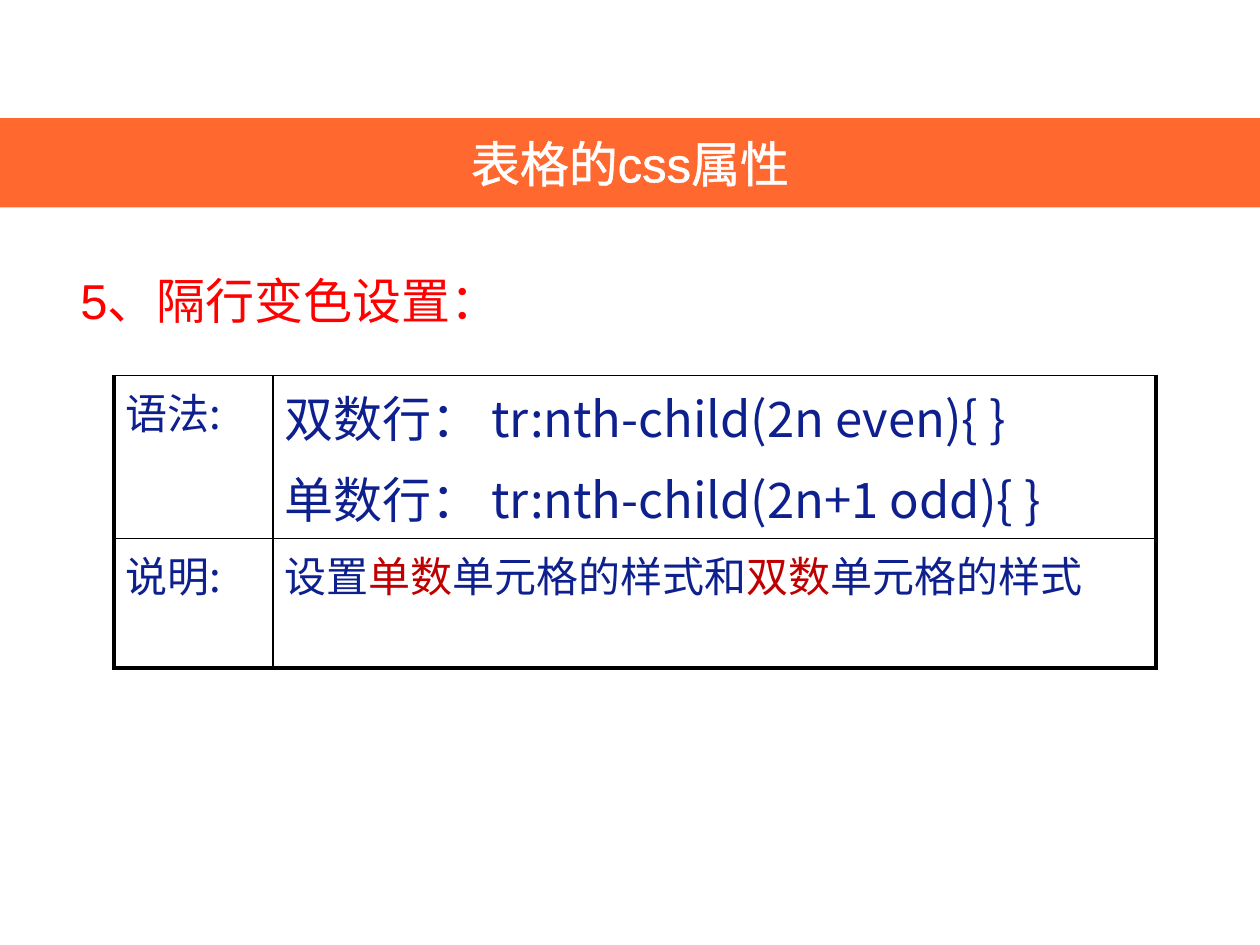
from pptx import Presentation
from pptx.dml.color import RGBColor as RGB
from pptx.enum.shapes import MSO_SHAPE as SHAPE
from pptx.enum.text import MSO_ANCHOR as ANCHOR, PP_ALIGN as ALIGN
from pptx.oxml.ns import qn
from pptx.util import Pt
from lxml.etree import Element, SubElement as Sub

HEX = {"band": "FF682F", "white": "FFFFFF", "head": "FF0000",
       "ink": "0E208E", "mark": "C00000", "rule": "000000"}
LATIN, CJK = "Arial", "Noto Sans CJK SC"

# Content: each cell is (size, paragraphs), each paragraph is (text, colour) runs
TITLE = "表格的css属性"
HEAD = "5、隔行变色设置："
ROWS = [
    [(24, [[("语法:", "ink")]]),
     (28, [[("双数行： tr:nth-child(2n even){ }", "ink")],
           [("单数行： tr:nth-child(2n+1 odd){ }", "ink")]])],
    [(24, [[("说明:", "ink")]]),
     (24, [[("设置", "ink"), ("单数", "mark"), ("单元格的样式和", "ink"),
            ("双数", "mark"), ("单元格的样式", "ink")]])],
]
WIDTHS, HEIGHTS = [90.7, 504.7], [87, 74.2]
THIN, THICK = 1, 2.25


def color(name):
    return RGB.from_string(HEX[name])


def style(para, size, name, ink):
    font = para.font
    font.size, font.name = Pt(size), name
    font.color.rgb = color(ink)


def stroke(parent, tag, width, ink):
    line = Element(qn(tag), w=str(Pt(width)))
    fill = Sub(line, qn("a:solidFill"))
    Sub(fill, qn("a:srgbClr"), val=HEX[ink])
    parent.append(line)
    return line


def fill_cell(cell, size, paras):
    frame = cell.text_frame
    cell.margin_left = cell.margin_right = Pt(6.8)
    cell.margin_top = cell.margin_bottom = Pt(3.2)
    for i, runs in enumerate(paras):
        para = frame.add_paragraph() if i else frame.paragraphs[0]
        # Space before, as a share of the text size
        gap = Element(qn("a:spcBef"))
        Sub(gap, qn("a:spcPct"), val="20000")
        para._p.get_or_add_pPr().insert(0, gap)
        for text, ink in runs:
            run = para.add_run()
            run.text = text
            style(run, size, CJK, ink)
            Sub(run.font._element, qn("a:ea"), typeface=CJK)


def edge_cell(cell, row, col):
    props = cell._tc.get_or_add_tcPr()
    sides = {"L": col == 0, "R": col == len(WIDTHS) - 1,
             "T": False, "B": row == len(HEIGHTS) - 1}
    for side, outer in sides.items():
        stroke(props, f"a:ln{side}", THICK if outer else THIN, "rule")
    cell.fill.background()


deck = Presentation()
deck.slide_width, deck.slide_height = Pt(720), Pt(540)
slide = deck.slides.add_slide(deck.slide_layouts[6])
shapes = slide.shapes

# Title band
band = shapes.add_shape(SHAPE.RECTANGLE, 0, Pt(67.5), Pt(720), Pt(51))
band.shadow.inherit = False
band.fill.solid()
band.fill.fore_color.rgb = color("band")
band.line.fill.background()
band.text_frame.vertical_anchor = ANCHOR.MIDDLE
para = band.text_frame.paragraphs[0]
para.alignment = ALIGN.CENTER
run = para.add_run()
run.text = TITLE
style(run, 28, LATIN, "white")
props = run.font._element
props.insert(0, stroke(props, "a:ln", 1.45, "white"))

# Table
grid = shapes.add_table(len(HEIGHTS), len(WIDTHS), Pt(65.2), Pt(214.7),
                        Pt(sum(WIDTHS)), Pt(sum(HEIGHTS))).table
grid.first_row = grid.horz_banding = False
for col, width in zip(grid.columns, WIDTHS):
    col.width = Pt(width)
for row, height in zip(grid.rows, HEIGHTS):
    row.height = Pt(height)
for r, cells in enumerate(ROWS):
    for c, (size, paras) in enumerate(cells):
        cell = grid.cell(r, c)
        fill_cell(cell, size, paras)
        edge_cell(cell, r, c)

# Heading
box = shapes.add_textbox(Pt(38.9), Pt(151.2), Pt(601.2), Pt(41))
box.text_frame.word_wrap = True
para = box.text_frame.paragraphs[0]
para.text = HEAD
style(para, 28, LATIN, "head")

deck.save("out.pptx")
